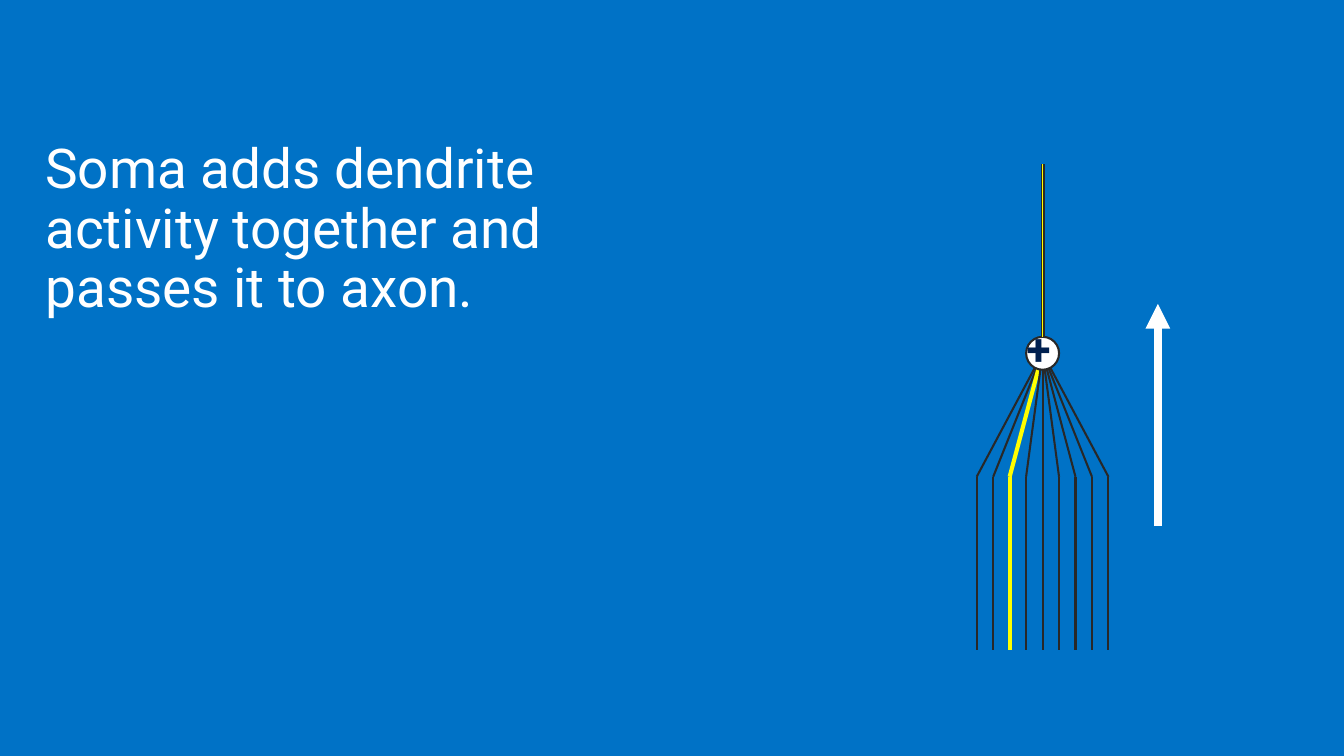
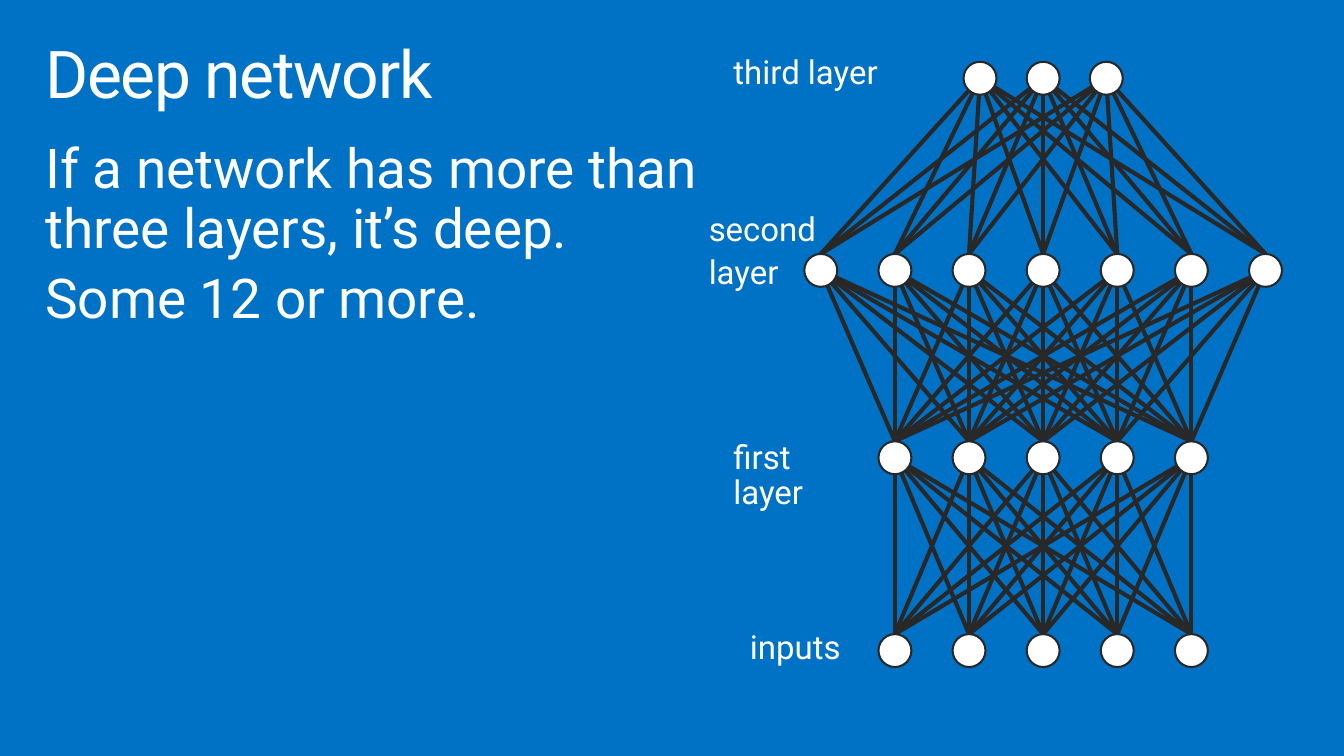
from itertools import pairwise, product

from lxml import etree
from pptx import Presentation
from pptx.dml.color import RGBColor
from pptx.enum.shapes import MSO_CONNECTOR, MSO_SHAPE
from pptx.enum.text import MSO_ANCHOR, MSO_AUTO_SIZE
from pptx.oxml.ns import qn
from pptx.util import Pt

STRAIGHT = MSO_CONNECTOR.STRAIGHT
OVAL = MSO_SHAPE.OVAL
TOP = MSO_ANCHOR.TOP
GROW = MSO_AUTO_SIZE.SHAPE_TO_FIT_TEXT
FIXED = MSO_AUTO_SIZE.NONE

FONT = "Roboto"
BLUE = "0072C6"
NAVY = "002050"
DARK = "282828"
WHITE = "FFFFFF"
YELLOW = "FFFF00"
NODE = 24


def rgb(code):
    return RGBColor.from_string(code)


def put_text(slide, box, lines, size, color=WHITE, pad=(11.5, 7.2),
             wrap=True, fit=GROW, before=0, after=0, bold=False):
    shape = slide.shapes.add_textbox(*map(Pt, box))
    frame = shape.text_frame
    frame.text = "\n".join(lines)
    frame.word_wrap = wrap
    frame.auto_size = fit
    frame.vertical_anchor = TOP
    frame.margin_left = frame.margin_right = Pt(pad[0])
    frame.margin_top = frame.margin_bottom = Pt(pad[1])
    for index, para in enumerate(frame.paragraphs):
        para.line_spacing = 0.9
        para.space_before = Pt(before if index else 0)
        para.space_after = Pt(after)
        for run in para.runs:
            run.font.name = FONT
            run.font.size = Pt(size)
            run.font.bold = bold
            run.font.color.rgb = rgb(color)
    return frame


def put_title(slide, text):
    frame = put_text(slide, (21.6, 23, 936, 72), [text], 48, fit=FIXED)
    frame.paragraphs[0].runs[0].font._element.set("spc", "-100")


def put_body(slide, lines, width, height):
    put_text(slide, (21.6, 95.8, width, height), lines, 40, before=8)


def put_label(slide, box, lines, size=24, color=WHITE, bold=False):
    put_text(slide, box, lines, size, color, pad=(14.4, 11.5),
             wrap=False, after=6, bold=bold)


def put_line(slide, start, end, color=DARK, width=3, arrow=False):
    line = slide.shapes.add_connector(STRAIGHT, *map(Pt, (*start, *end)))
    line.line.color.rgb = rgb(color)
    line.line.width = Pt(width)
    props = line._element.spPr
    if arrow:
        tail = etree.SubElement(props.find(qn("a:ln")), qn("a:tailEnd"))
        tail.set("type", "triangle")
    etree.SubElement(props, qn("a:effectLst"))


def put_node(slide, x, y):
    node = slide.shapes.add_shape(
        OVAL, Pt(x - NODE / 2), Pt(y - NODE / 2), Pt(NODE), Pt(NODE))
    node.shadow.inherit = False
    node.fill.solid()
    node.fill.fore_color.rgb = rgb(WHITE)
    node.line.color.rgb = rgb(DARK)
    node.line.width = Pt(1.5)


def row(count, mid, pitch):
    return [mid + (i - (count - 1) / 2) * pitch for i in range(count)]


def draw_neuron(slide, x, y):
    mid, soma, knee, foot = x + 48, y + 138, y + 228, y + 354
    axon = (mid, soma - NODE / 2), (mid, y)
    put_line(slide, *axon)
    for i, left in enumerate(row(9, mid, 12)):
        style = (YELLOW, 3) if i == 2 else (DARK, 1.5)
        put_line(slide, (left, knee), (mid, soma), *style)
        put_line(slide, (left, knee), (left, foot), *style)
    put_node(slide, mid, soma)
    put_line(slide, *axon, YELLOW, 0.75)
    put_label(slide, (mid - 26, y + 108, 52, 58), ["+"], 32, NAVY, True)
    put_line(slide, (mid + 84, y + 264), (mid + 84, y + 102),
             WHITE, 6, arrow=True)


def draw_net(slide, x, y):
    mid = x + 258
    plan = [(3, 46, 27.5), (7, 54, 167.5), (5, 54, 304), (5, 54, 444.5)]
    layers = [[(left, y + drop) for left in row(count, mid, pitch)]
              for count, pitch, drop in plan]
    for upper, lower in pairwise(layers):
        for high, low in product(upper, lower):
            put_line(slide, (low[0], low[1] - NODE / 2), high)
    for layer in layers:
        for spot in layer:
            put_node(slide, *spot)
    labels = [
        (18, 0, 137, 50, ["third layer"]),
        (0, 114, 112, 81, ["second", "layer"]),
        (18, 280, 127, 50, ["first layer"]),
        (30, 418.5, 95, 50, ["inputs"]),
    ]
    for left, top, width, height, lines in labels:
        put_label(slide, (x + left, y + top, width, height), lines)


def soma_slide(slide):
    put_body(slide, ["Soma adds dendrite activity together and "
                     "passes it to axon."], 408, 145)
    draw_neuron(slide, 711.6, 119.4)


def deep_slide(slide):
    put_title(slide, "Deep network")
    put_body(slide, ["If a network has more than three layers, it’s deep.",
                     "Some 12 or more."], 504, 155)
    draw_net(slide, 502, 29.5)


def main():
    deck = Presentation()
    deck.slide_width, deck.slide_height = Pt(979.2), Pt(550.8)
    back = deck.slide_master.background.fill
    back.solid()
    back.fore_color.rgb = rgb(BLUE)
    for build in (soma_slide, deep_slide):
        build(deck.slides.add_slide(deck.slide_layouts[6]))
    deck.save("out.pptx")


if __name__ == "__main__":
    main()
